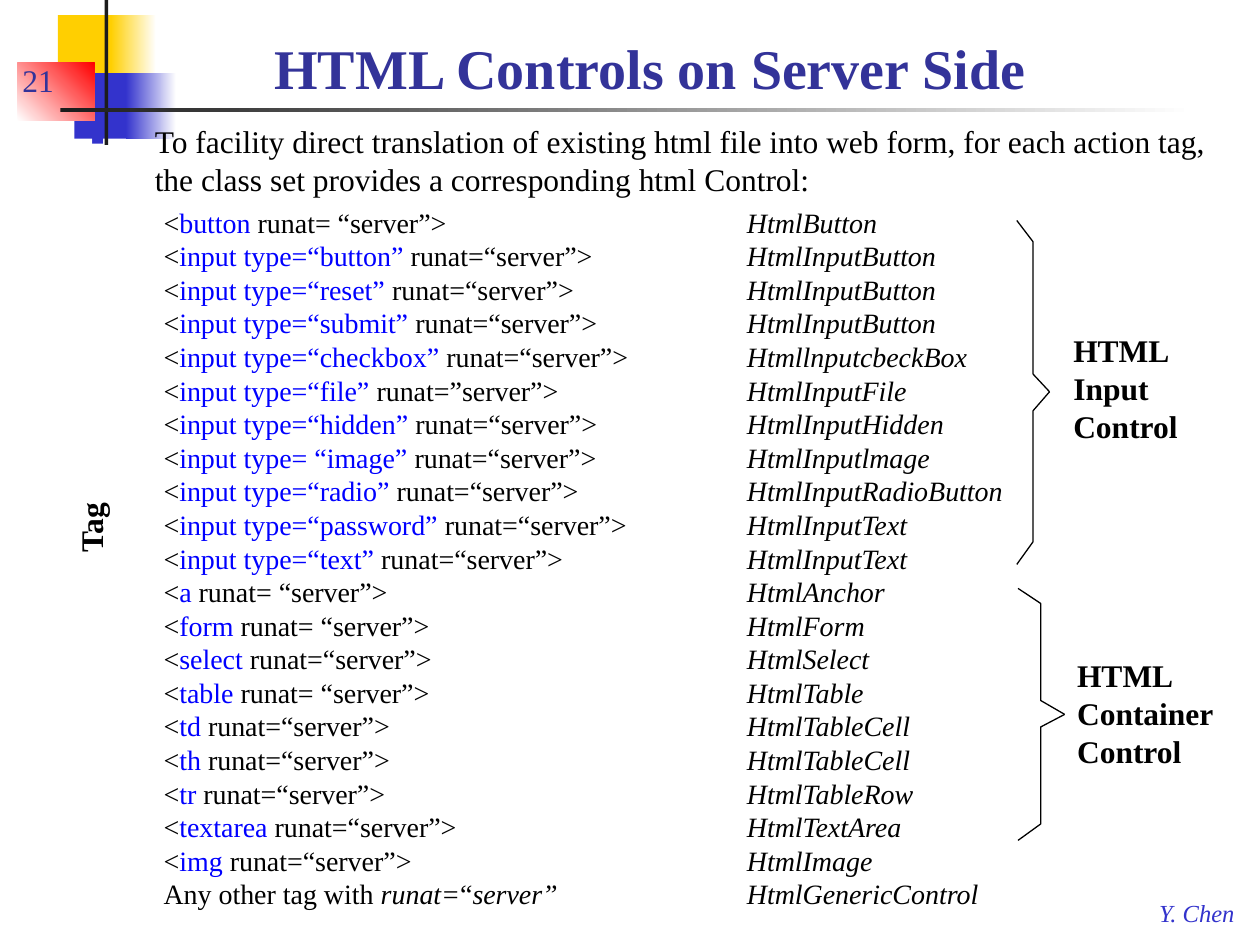
from pptx import Presentation
from pptx.dml.color import RGBColor
from pptx.enum.shapes import MSO_SHAPE
from pptx.enum.text import MSO_ANCHOR
from pptx.oxml import parse_xml
from pptx.oxml.ns import nsdecls
from pptx.util import Inches, Pt

BLACK, BLUE, INDIGO, TAG_BLUE = "000000", "3333CC", "333399", "0000FF"
YELLOW, RED, WHITE, DARK = "FFCF01", "FF0000", "FFFFFF", "1C1C1C"
PLAIN = "runat=“server”>"
SPACED = "runat= “server”>"

CONTROLS = [
    ("button", SPACED, "HtmlButton"),
    ("input type=“button”", PLAIN, "HtmlInputButton"),
    ("input type=“reset”", PLAIN, "HtmlInputButton"),
    ("input type=“submit”", PLAIN, "HtmlInputButton"),
    ("input type=“checkbox”", PLAIN, "HtmllnputcbeckBox"),
    ("input type=“file”", "runat=”server”>", "HtmlInputFile"),
    ("input type=“hidden”", PLAIN, "HtmlInputHidden"),
    ("input type= “image”", PLAIN, "HtmlInputlmage"),
    ("input type=“radio”", PLAIN, "HtmlInputRadioButton"),
    ("input type=“password”", PLAIN, "HtmlInputText"),
    ("input type=“text”", PLAIN, "HtmlInputText"),
    ("a", SPACED, "HtmlAnchor"),
    ("form", SPACED, "HtmlForm"),
    ("select", PLAIN, "HtmlSelect"),
    ("table", SPACED, "HtmlTable"),
    ("td", PLAIN, "HtmlTableCell"),
    ("th", PLAIN, "HtmlTableCell"),
    ("tr", PLAIN, "HtmlTableRow"),
    ("textarea", PLAIN, "HtmlTextArea"),
    ("img", PLAIN, "HtmlImage"),
]


def color(value):
    return RGBColor.from_string(value)


class Deck:
    font = "Times New Roman"

    def __init__(self, width, height):
        self.prs = Presentation()
        self.prs.slide_width = Inches(width)
        self.prs.slide_height = Inches(height)
        self.s = None

    def slide(self):
        self.s = self.prs.slides.add_slide(self.prs.slide_layouts[6])

    def rect(self, box, fill, end=None, angle=0):
        sp = self.s.shapes.add_shape(MSO_SHAPE.RECTANGLE, *map(Inches, box))
        sp.shadow.inherit = False
        sp.line.fill.background()
        if end is None:
            sp.fill.solid()
            sp.fill.fore_color.rgb = color(fill)
        else:
            sp.fill.gradient()
            sp.fill.gradient_angle = angle
            for stop, value in zip(sp.fill.gradient_stops, (fill, end)):
                stop.color.rgb = color(value)

    def run(self, p, text, size, value=BLACK, bold=False, italic=False):
        r = p.add_run()
        r.text = text
        r.font.name = self.font
        r.font.size = Pt(size)
        r.font.color.rgb = color(value)
        r.font.bold = bold
        r.font.italic = italic

    def frame(self, box, wrap=True, anchor=MSO_ANCHOR.TOP, rotation=0):
        sp = self.s.shapes.add_textbox(*map(Inches, box))
        sp.rotation = rotation
        tf = sp.text_frame
        tf.word_wrap = wrap
        tf.vertical_anchor = anchor
        return tf

    def text(self, box, lines, size, value=BLACK, bold=False, italic=False, **layout):
        tf = self.frame(box, **layout)
        for i, line in enumerate(lines):
            p = tf.add_paragraph() if i else tf.paragraphs[0]
            self.run(p, line, size, value, bold, italic)

    def bullet(self, box, text, size, indent):
        p = self.frame(box).paragraphs[0]
        pPr = p._p.get_or_add_pPr()
        pPr.set("marL", str(Inches(indent)))
        pPr.set("indent", str(Inches(-indent)))
        for xml in (
            f'<a:buClr {nsdecls("a")}><a:srgbClr val="{BLUE}"/></a:buClr>',
            f'<a:buSzPct {nsdecls("a")} val="60000"/>',
            f'<a:buChar {nsdecls("a")} char="■"/>',
        ):
            pPr.append(parse_xml(xml))
        self.run(p, text, size)

    def tabbed(self, box, rows, size, tab):
        tf = self.frame(box)
        for i, row in enumerate(rows):
            p = tf.add_paragraph() if i else tf.paragraphs[0]
            p._p.get_or_add_pPr().append(parse_xml(
                f'<a:tabLst {nsdecls("a")}><a:tab pos="{Inches(tab)}" algn="l"/></a:tabLst>'))
            for text, value, italic in row:
                self.run(p, text, size, value, italic=italic)

    def brace(self, xs, upper, lower):
        for ys in (upper, lower):
            points = [(Inches(x), Inches(y)) for x, y in zip(xs, ys)]
            builder = self.s.shapes.build_freeform(*points[0])
            builder.add_line_segments(points[1:], close=False)
            sp = builder.convert_to_shape()
            sp.shadow.inherit = False
            sp.fill.background()
            sp.line.color.rgb = color(BLACK)
            sp.line.width = Pt(0.75)


def main():
    deck = Deck(10, 7.5)
    deck.slide()

    deck.rect((0.46, 0.12, 0.48, 0.52), YELLOW)
    deck.rect((0.88, 0.12, 0.36, 0.52), YELLOW, WHITE)
    deck.rect((0.59, 0.58, 0.46, 0.52), BLUE)
    deck.rect((1, 0.58, 0.4, 0.52), BLUE, WHITE)
    deck.rect((0.14, 0.5, 0.61, 0.46), WHITE, RED, 45)
    deck.rect((0.83, 0, 0.03, 1.15), DARK)
    deck.rect((0.48, 0.86, 9, 0.03), DARK, WHITE)

    deck.text((9.1, 7.08, 0.82, 0.33), ["Y. Chen"], 14, BLUE, italic=True, wrap=False)
    deck.text((0.08, 0.33, 0.75, 0.5), ["21"], 18, INDIGO, anchor=MSO_ANCHOR.BOTTOM)
    deck.text((2.08, 0.17, 7.84, 0.68), ["HTML Controls on Server Side"], 32, INDIGO,
              bold=True, anchor=MSO_ANCHOR.BOTTOM)
    deck.bullet((0.62, 0.92, 9.29, 0.83),
                "To facility direct translation of existing html file into web form, "
                "for each action tag, the class set provides a corresponding html Control:",
                18, 0.51)

    rows = [
        [("<", BLACK, False), (tag + " ", TAG_BLUE, False),
         (attribute + "\t", BLACK, False), (control, BLACK, True)]
        for tag, attribute, control in CONTROLS
    ]
    rows.append([("Any other tag with ", BLACK, False), ("runat=", BLACK, True),
                 ("“", BLACK, False), ("server”\tHtmlGenericControl", BLACK, True)])
    deck.tabbed((1.2, 1.58, 7.13, 5.76), rows, 16, 4.63)

    deck.text((8.42, 2.58, 1.04, 1.01), ["HTML", "Input", "Control"], 18,
              bold=True, wrap=False)
    deck.text((0.41, 3.97, 0.62, 0.4), ["Tag"], 18, bold=True, wrap=False, rotation=270)
    deck.brace((8.07, 8.2, 8.2, 8.33), (1.75, 1.92, 2.97, 3.11), (4.48, 4.3, 3.26, 3.11))
    deck.brace((8.08, 8.26, 8.26, 8.45), (4.67, 4.79, 5.56, 5.67), (6.67, 6.54, 5.77, 5.67))
    deck.text((8.45, 5.16, 1.3, 1.01), ["HTML", "Container", "Control"], 18,
              bold=True, wrap=False)

    deck.prs.save("out.pptx")


if __name__ == "__main__":
    main()
